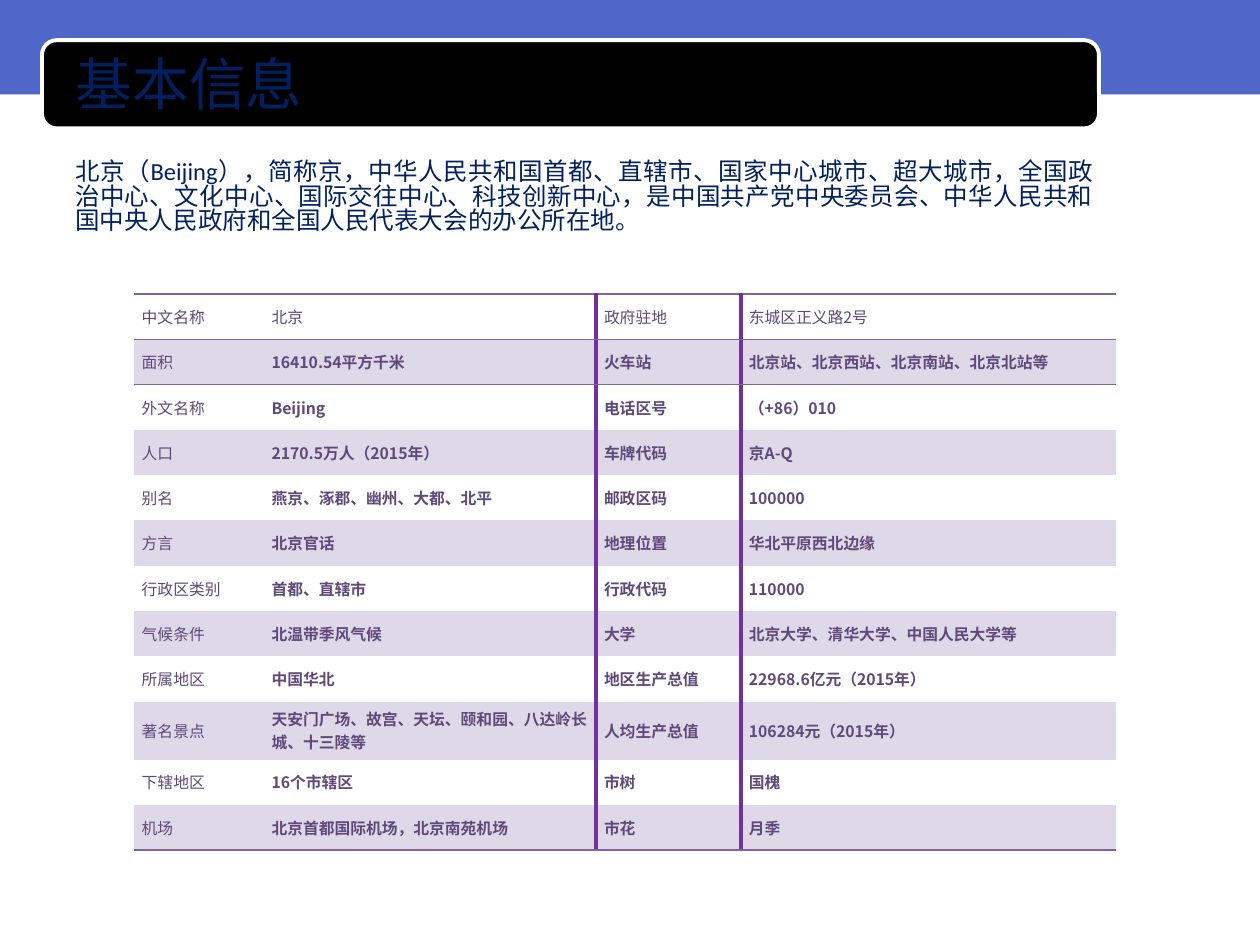
from dataclasses import dataclass

from lxml import etree
from pptx import Presentation
from pptx import util as u
from pptx.dml.color import RGBColor
from pptx.enum import shapes, text
from pptx.oxml import ns

NO_STYLE_NO_GRID = "{2D5ABB26-0587-4C30-8999-92F81FD0307C}"


@dataclass(frozen=True)
class Theme:
    band: str = "4E67C8"
    panel: str = "000000"
    white: str = "FFFFFF"
    heading: str = "002060"
    cell_text: str = "5F497A"
    stripe: str = "DFD8E8"
    rule: str = "8064A2"
    divider: str = "7030A0"
    title_font: str = "Arial"
    body_font: str = "Calibri"
    cjk_font: str = "Noto Sans CJK SC"
    title_size: float = 32.4
    body_size: float = 14
    cell_size: float = 9
    rule_width: float = 1
    divider_width: float = 2.25


class SlideBuilder:
    def __init__(self, presentation, theme):
        self.theme = theme
        self.slide = presentation.slides.add_slide(presentation.slide_layouts[5])

    def format_paragraph(self, paragraph, font_name, size, color, bold=False):
        font = paragraph.font
        font.name, font.size, font.bold = font_name, u.Pt(size), bold
        font.color.rgb = RGBColor.from_string(color)
        properties = paragraph._p.get_or_add_pPr().get_or_add_defRPr()
        east_asian = etree.SubElement(properties, ns.qn("a:ea"))
        east_asian.set("typeface", self.theme.cjk_font)

    def panel(self, kind, left, top, width, height, fill, line=None):
        shape = self.slide.shapes.add_shape(
            kind, u.Pt(left), u.Pt(top), u.Pt(width), u.Pt(height))
        shape.shadow.inherit = False
        shape.fill.solid()
        shape.fill.fore_color.rgb = RGBColor.from_string(fill)
        if line:
            shape.line.color.rgb = RGBColor.from_string(line)
            shape.line.width = u.Pt(2.25)
        else:
            shape.line.fill.background()

    def title(self, words, left, top, width, height):
        shape = self.slide.shapes.title
        shape.left, shape.top = u.Pt(left), u.Pt(top)
        shape.width, shape.height = u.Pt(width), u.Pt(height)
        self.slide.shapes._spTree.append(shape._element)  # in front of the panels
        frame = shape.text_frame
        frame.text = words
        frame.auto_size = text.MSO_AUTO_SIZE.NONE
        frame.vertical_anchor = text.MSO_ANCHOR.MIDDLE
        paragraph = frame.paragraphs[0]
        paragraph.alignment = text.PP_ALIGN.JUSTIFY
        self.format_paragraph(paragraph, self.theme.title_font,
                              self.theme.title_size, self.theme.heading)

    def body(self, words, left, top, width, height):
        frame = self.slide.shapes.add_textbox(
            u.Pt(left), u.Pt(top), u.Pt(width), u.Pt(height)).text_frame
        frame.word_wrap = True
        frame.text = words
        paragraph = frame.paragraphs[0]
        paragraph.alignment = text.PP_ALIGN.JUSTIFY
        paragraph.line_spacing = 0.83
        self.format_paragraph(paragraph, self.theme.body_font,
                              self.theme.body_size, self.theme.heading)

    def border(self, cell, side, color, width):
        line = etree.SubElement(cell._tc.get_or_add_tcPr(), ns.qn("a:ln" + side))
        line.set("w", str(u.Pt(width)))
        fill = etree.SubElement(line, ns.qn("a:solidFill"))
        etree.SubElement(fill, ns.qn("a:srgbClr")).set("val", color)

    def format_cell(self, cell, row, column, last_row):
        theme = self.theme
        cell.margin_left = cell.margin_right = u.Pt(4.5)
        cell.margin_top = cell.margin_bottom = 0
        cell.vertical_anchor = text.MSO_ANCHOR.MIDDLE
        self.format_paragraph(cell.text_frame.paragraphs[0], theme.cjk_font,
                              theme.cell_size, theme.cell_text,
                              bold=row > 0 and column > 0)
        # Borders come in schema order: left, right, top, bottom
        if column == 2:
            self.border(cell, "L", theme.divider, theme.divider_width)
        if column == 1:
            self.border(cell, "R", theme.divider, theme.divider_width)
        if row in (0, 1):
            self.border(cell, "T", theme.rule, theme.rule_width)
        if row in (0, last_row):
            self.border(cell, "B", theme.rule, theme.rule_width)
        if row % 2:
            cell.fill.solid()
            cell.fill.fore_color.rgb = RGBColor.from_string(theme.stripe)
        else:
            cell.fill.background()

    def table(self, rows, left, top, widths, heights):
        frame = self.slide.shapes.add_table(
            len(rows), len(widths), u.Pt(left), u.Pt(top),
            u.Pt(sum(widths)), u.Pt(sum(heights)))
        table = frame.table
        table.first_row = table.horz_banding = False
        table._tbl.tblPr.find(ns.qn("a:tableStyleId")).text = NO_STYLE_NO_GRID
        for column, width in zip(table.columns, widths):
            column.width = u.Pt(width)
        for row, height in zip(table.rows, heights):
            row.height = u.Pt(height)
        for row, values in enumerate(rows):
            for column, value in enumerate(values):
                cell = table.cell(row, column)
                cell.text = value
                self.format_cell(cell, row, column, len(rows) - 1)


INTRODUCTION = (
    "北京（Beijing），简称京，中华人民共和国首都、直辖市、国家中心城市、超大城市，"
    "全国政治中心、文化中心、国际交往中心、科技创新中心，是中国共产党中央委员会、"
    "中华人民共和国中央人民政府和全国人民代表大会的办公所在地。")

FACTS = [
    ("中文名称", "北京", "政府驻地", "东城区正义路2号"),
    ("面积", "16410.54平方千米", "火车站", "北京站、北京西站、北京南站、北京北站等"),
    ("外文名称", "Beijing", "电话区号", "（+86）010"),
    ("人口", "2170.5万人（2015年）", "车牌代码", "京A-Q"),
    ("别名", "燕京、涿郡、幽州、大都、北平", "邮政区码", "100000"),
    ("方言", "北京官话", "地理位置", "华北平原西北边缘"),
    ("行政区类别", "首都、直辖市", "行政代码", "110000"),
    ("气候条件", "北温带季风气候", "大学", "北京大学、清华大学、中国人民大学等"),
    ("所属地区", "中国华北", "地区生产总值", "22968.6亿元（2015年）"),
    ("著名景点", "天安门广场、故宫、天坛、颐和园、八达岭长城、十三陵等",
     "人均生产总值", "106284元（2015年）"),
    ("下辖地区", "16个市辖区", "市树", "国槐"),
    ("机场", "北京首都国际机场，北京南苑机场", "市花", "月季"),
]


def main():
    presentation = Presentation()
    presentation.slide_width, presentation.slide_height = u.Pt(720), u.Pt(540)
    theme = Theme()
    builder = SlideBuilder(presentation, theme)

    # Header band and title panel
    builder.panel(shapes.MSO_SHAPE.RECTANGLE, 0, 0, 720, 54, theme.band)
    builder.panel(shapes.MSO_SHAPE.ROUNDED_RECTANGLE, 24, 23, 604, 50.4,
                  theme.panel, theme.white)

    # Fact table: the sights row holds two lines
    heights = [33.1 if row[0] == "著名景点" else 25.9 for row in FACTS]
    builder.table(FACTS, 76.5, 168, [74.2, 190, 82.8, 214.5], heights)

    # Introduction and title
    builder.body(INTRODUCTION, 36, 88.5, 596, 73.5)
    builder.title("基本信息", 36, 25.2, 582, 44.6)

    presentation.save("out.pptx")


if __name__ == "__main__":
    main()
